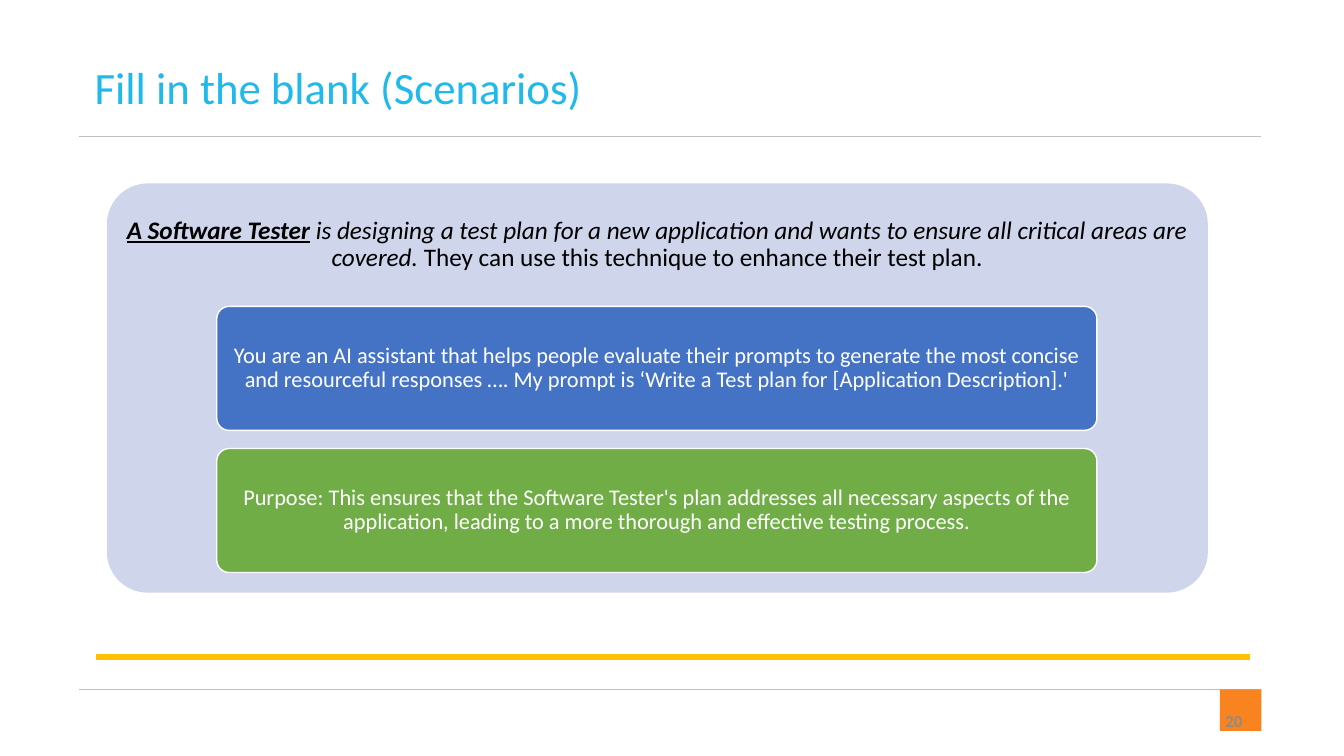
import pptx
import pptx.util
import pptx.dml.color
import pptx.enum.shapes
import pptx.enum.text
import lxml.etree

# Content
TITLE = "Fill in the blank (Scenarios)"
PAGE_NUMBER = "20"
SCENARIO = [
    ("A Software Tester", {"bold": True, "italic": True, "underline": True}),
    (" is designing a test plan for a new application and wants to ensure "
     "all critical areas are covered. ", {"italic": True}),
    ("They can use this technique to enhance their test plan.", {}),
]
CARDS = [
    ("You are an AI assistant that helps people evaluate their prompts to generate "
     "the most concise and resourceful responses …. My prompt is ‘Write a Test plan "
     "for [Application Description].'", "blue"),
    ("Purpose: This ensures that the Software Tester's plan addresses all necessary "
     "aspects of the application, leading to a more thorough and effective testing "
     "process.", "green"),
]
COLORS = {
    "title": "20B9EC", "number": "8C8C8C", "rule": "BFBFBF", "accent": "FFC000",
    "orange": "F9831F", "panel": "CFD5EA", "blue": "4472C4", "green": "70AD47",
    "black": "000000", "white": "FFFFFF",
}
FONT = "Calibri"

# Geometry in px, 100 to the inch
EMU_PER_PX = 9144
SLIDE = (1333, 750)
RULES = [  # left, right, y, color, points
    (78, 1251, 684, "rule", 0.5),
    (78, 1251, 135, "rule", 0.5),
    (95, 1240, 652, "accent", 4.5),
]
NUMBER_TAB = (1210, 684, 41, 41)
NUMBER_BOX = (942, 695, 300, 40)
TITLE_BOX = (84, 54, 1197, 64)
PANEL = (106, 182, 1092, 406)
SCENARIO_HEIGHT = 122
CARD_WIDTH, CARD_HEIGHT, CARD_GAP = 873, 123, 18

SHAPE = pptx.enum.shapes.MSO_SHAPE
ALIGN = pptx.enum.text.PP_ALIGN
ANCHOR = pptx.enum.text.MSO_ANCHOR


def px(*lengths):
    return [pptx.util.Emu(length * EMU_PER_PX) for length in lengths]


def rgb(name):
    return pptx.dml.color.RGBColor.from_string(COLORS[name])


def add_rule(page, left, right, y, color, points):
    rule = page.shapes.add_connector(
        pptx.enum.shapes.MSO_CONNECTOR.STRAIGHT, *px(left, y, right, y))
    rule.line.color.rgb = rgb(color)
    rule.line.width = pptx.util.Pt(points)
    properties = rule._element.spPr
    lxml.etree.SubElement(properties, pptx.oxml.ns.qn("a:effectLst"))


def add_block(page, kind, place, fill, outline=None):
    block = page.shapes.add_shape(kind, *px(*place))
    block.shadow.inherit = False
    block.fill.solid()
    block.fill.fore_color.rgb = rgb(fill)
    if outline:
        block.line.color.rgb = rgb(outline)
        block.line.width = pptx.util.Pt(1)
    else:
        block.line.fill.background()
    if kind == SHAPE.ROUNDED_RECTANGLE:
        block.adjustments[0] = 0.1
    return block


def write(box, spans, size, color, align, anchor=ANCHOR.MIDDLE,
          insets=(10, 5), spacing=1):
    frame = box.text_frame
    frame.word_wrap = True
    frame.vertical_anchor = anchor
    side, end = px(*insets)
    frame.margin_left = frame.margin_right = side
    frame.margin_top = frame.margin_bottom = end
    para = frame.paragraphs[0]
    para.alignment = align
    para.line_spacing = spacing
    for text, style in spans:
        span = para.add_run()
        span.text = text
        span.font.name = FONT
        span.font.size = pptx.util.Pt(size)
        span.font.color.rgb = rgb(color)
        span.font.bold = style.get("bold", False)
        span.font.italic = style.get("italic", False)
        span.font.underline = style.get("underline", False)


def main():
    deck = pptx.Presentation()
    deck.slide_width, deck.slide_height = px(*SLIDE)
    page = deck.slides.add_slide(deck.slide_layouts[6])

    # Frame: rules, page number and title
    for rule in RULES:
        add_rule(page, *rule)
    add_block(page, SHAPE.RECTANGLE, NUMBER_TAB, "orange")
    number = page.shapes.add_textbox(*px(*NUMBER_BOX))
    write(number, [(PAGE_NUMBER, {"bold": True})], 12, "number", ALIGN.RIGHT)
    title = page.shapes.add_textbox(*px(*TITLE_BOX))
    write(title, [(TITLE, {})], 32, "title", ALIGN.LEFT, ANCHOR.TOP)

    # Panel with the scenario at its head
    left, top, width, height = PANEL
    add_block(page, SHAPE.ROUNDED_RECTANGLE, PANEL, "panel")
    scenario = page.shapes.add_textbox(*px(left, top, width, SCENARIO_HEIGHT))
    write(scenario, SCENARIO, 18, "black", ALIGN.CENTER, insets=(7, 7), spacing=0.9)

    # Cards stacked and centred below the scenario
    card_left = left + (width - CARD_WIDTH) // 2
    for index, (text, fill) in enumerate(CARDS):
        card_top = top + SCENARIO_HEIGHT + index * (CARD_HEIGHT + CARD_GAP)
        card = add_block(page, SHAPE.ROUNDED_RECTANGLE,
                         (card_left, card_top, CARD_WIDTH, CARD_HEIGHT), fill, "white")
        write(card, [(text, {})], 16, "white", ALIGN.CENTER, insets=(4, 3), spacing=0.9)

    deck.save("out.pptx")


if __name__ == "__main__":
    main()
